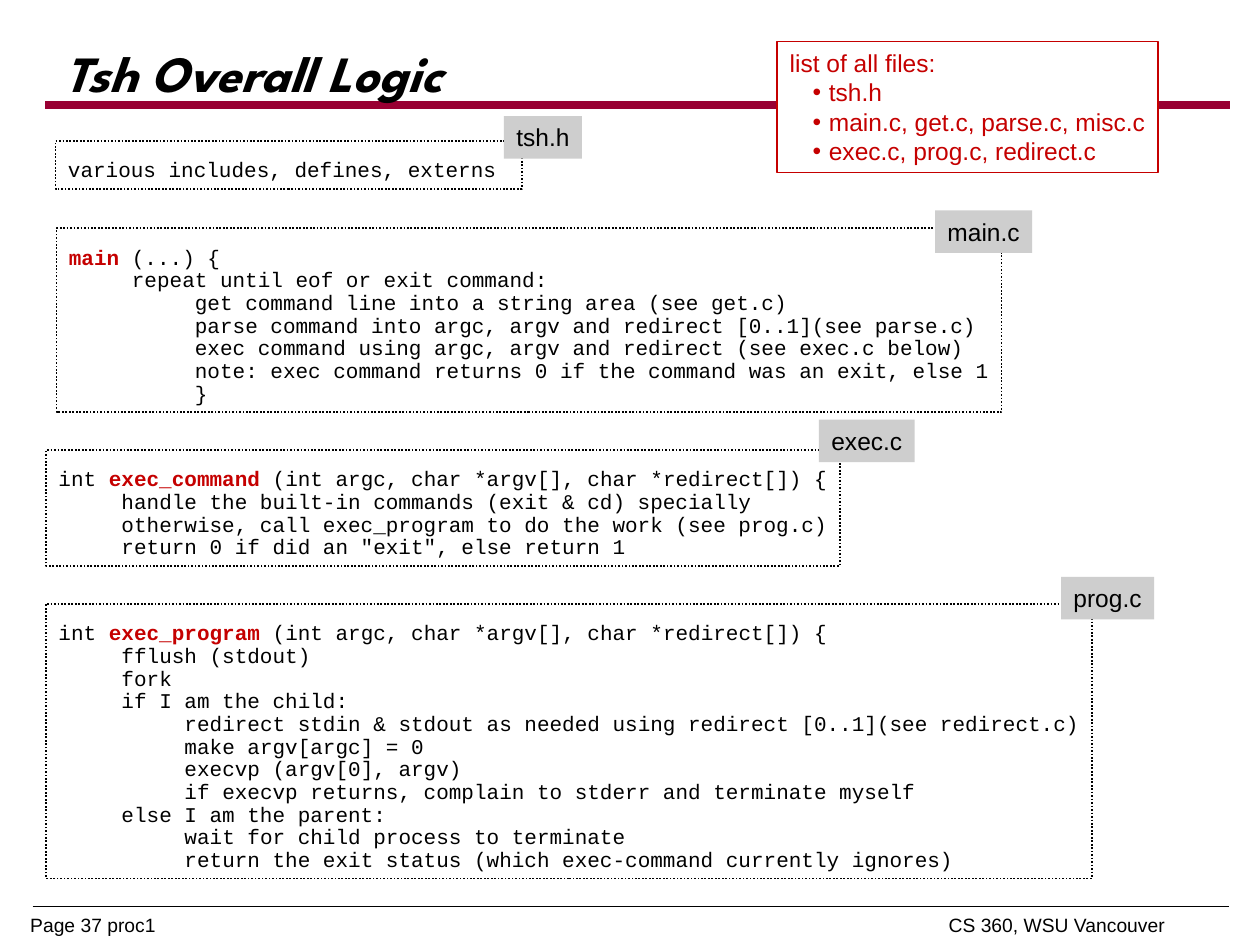
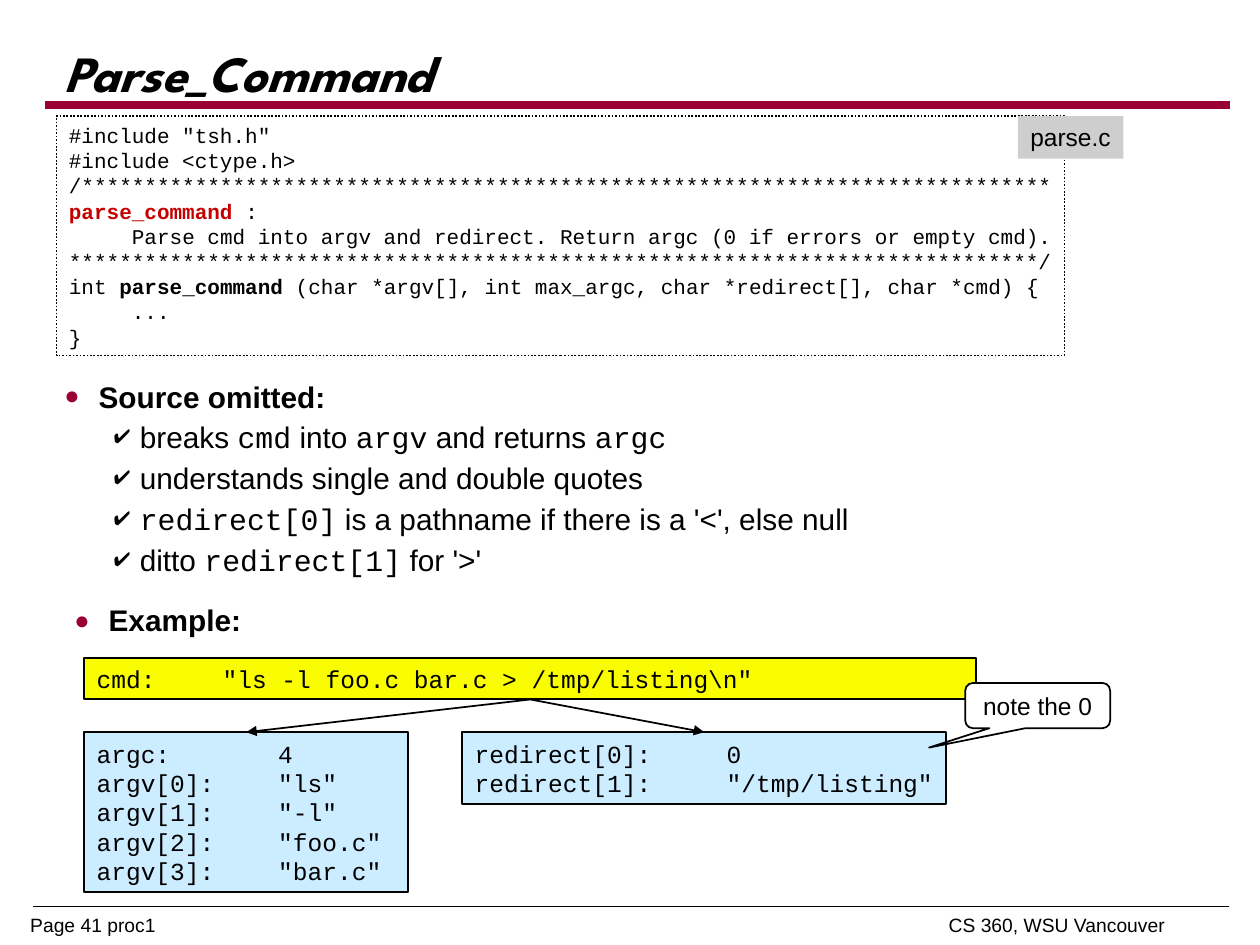
from lxml import etree
from pptx import Presentation
from pptx.dml.color import RGBColor
from pptx.enum.dml import MSO_LINE
from pptx.enum.shapes import MSO_CONNECTOR, MSO_SHAPE
from pptx.enum.text import MSO_ANCHOR, MSO_AUTO_SIZE, PP_ALIGN
from pptx.oxml.ns import qn
from pptx.util import Cm, Pt

RECTANGLE = MSO_SHAPE.RECTANGLE
CALLOUT = MSO_SHAPE.ROUNDED_RECTANGULAR_CALLOUT
STRAIGHT = MSO_CONNECTOR.STRAIGHT
DOTTED = MSO_LINE.ROUND_DOT
TOP, MIDDLE = MSO_ANCHOR.TOP, MSO_ANCHOR.MIDDLE
LEFT, CENTER = PP_ALIGN.LEFT, PP_ALIGN.CENTER

COLORS = {
    "text": "000000", "keyword": "C50000", "rule": "990033", "label": "CECECE",
    "white": "FFFFFF", "command": "FAFD00", "result": "CCECFF",
}
SANS, MONO, TITLE_FONT = "Arial", "Courier New", "League Spartan"
TITLE_ONLY = 5
STARS = "*" * 77

# Bullets: character, colour, size in percent, left margin, hanging indent
DOT = ("●", "rule", 85, 0.69, -0.69)
CHECK = ("✔", "text", 65, 1.52, -0.53)
FILE_DOT = ("•", "keyword", 100, 0.79, -0.33)


def rgb(name):
    return RGBColor.from_string(COLORS[name])


# ---- Text ----
def format_font(font, name, size, color="text", bold=False):
    font.name, font.size, font.bold = name, Pt(size), bold
    font.color.rgb = rgb(color)


def set_indent(paragraph, margin, hanging=0):
    properties = paragraph._p.get_or_add_pPr()
    properties.set("marL", str(Cm(margin)))
    properties.set("indent", str(Cm(hanging)))


def add_bullet(paragraph, bullet):
    character, color, percent, margin, hanging = bullet
    set_indent(paragraph, margin, hanging)
    properties = paragraph._p.get_or_add_pPr()
    bullet_color = etree.SubElement(properties, qn("a:buClr"))
    etree.SubElement(bullet_color, qn("a:srgbClr"), val=COLORS[color])
    etree.SubElement(properties, qn("a:buSzPct"), val=str(percent * 1000))
    etree.SubElement(properties, qn("a:buFont"), typeface=SANS)
    etree.SubElement(properties, qn("a:buChar"), char=character)


def add_tab(paragraph, position, align="l"):
    tabs = etree.SubElement(paragraph._p.get_or_add_pPr(), qn("a:tabLst"))
    etree.SubElement(tabs, qn("a:tab"), pos=str(Cm(position)), algn=align)


def write_segments(paragraph, segments, font, size, color="text"):
    """A segment is a string, or a pair of a string and a style."""
    for segment in segments:
        text, style = (segment, "") if isinstance(segment, str) else segment
        run = paragraph.add_run()
        run.text = text
        format_font(run.font, MONO if style == "code" else font, size,
                    "keyword" if style == "keyword" else color,
                    style in ("keyword", "bold"))


def write_lines(shape, lines, font, size, color="text", align=LEFT, spacing=1.0,
                before=0, tab=None):
    """A line holds an indent level or a bullet, then its segments."""
    frame = shape.text_frame
    for index, (indent, *segments) in enumerate(lines):
        paragraph = frame.add_paragraph() if index else frame.paragraphs[0]
        if isinstance(indent, tuple):
            add_bullet(paragraph, indent)
        elif indent:
            set_indent(paragraph, 1.27 * indent)
        if tab:
            add_tab(paragraph, tab)
        paragraph.alignment = align
        paragraph.line_spacing = spacing
        if before and index:
            paragraph.space_before = Pt(before)
        write_segments(paragraph, segments, font, size, color)


def set_frame(shape, left=0.25, top=0.13, right=0, bottom=0.13, anchor=TOP):
    frame = shape.text_frame
    frame.word_wrap, frame.auto_size = True, MSO_AUTO_SIZE.NONE
    frame.margin_left, frame.margin_right = Cm(left), Cm(right)
    frame.margin_top, frame.margin_bottom = Cm(top), Cm(bottom)
    frame.vertical_anchor = anchor


# ---- Shapes; a box is left, top, width, height ----
def add_box(slide, box, fill=None, line="text", kind=RECTANGLE):
    shape = slide.shapes.add_shape(kind, *map(Cm, box))
    shape.shadow.inherit = False
    if fill:
        shape.fill.solid()
        shape.fill.fore_color.rgb = rgb(fill)
    else:
        shape.fill.background()
    if line:
        shape.line.color.rgb = rgb(line)
        shape.line.width = Pt(1)
    else:
        shape.line.fill.background()
    set_frame(shape)
    return shape


def add_text(slide, box, **margins):
    shape = slide.shapes.add_textbox(*map(Cm, box))
    set_frame(shape, **margins)
    return shape


def add_line(slide, start=(0, 0), end=(0, 0), color="text", width=1.0):
    line = slide.shapes.add_connector(STRAIGHT, *map(Cm, start + end))
    line.line.color.rgb = rgb(color)
    line.line.width = Pt(width)
    etree.SubElement(line._element.spPr, qn("a:effectLst"))
    return line


def add_arrow(slide, source, target):
    """Joins the bottom of one box to the top of another."""
    arrow = add_line(slide)
    arrow.begin_connect(source, 2)
    arrow.end_connect(target, 0)
    etree.SubElement(arrow.line._get_or_add_ln(), qn("a:tailEnd"), type="triangle")


# ---- Shared slide frame ----
def add_slide(presentation, title_text, page):
    slide = presentation.slides.add_slide(presentation.slide_layouts[TITLE_ONLY])

    # Footer
    footer = add_text(slide, (0.61, 18.44, 23.85, 0.61), left=0, top=0, bottom=0)
    paragraph = footer.text_frame.paragraphs[0]
    add_tab(paragraph, 22.88, "r")
    paragraph.line_spacing = 0.96
    write_segments(paragraph, [f"Page {page} proc1\tCS 360, WSU Vancouver"], SANS, 11)
    add_line(slide, (0.66, 18.26), (24.77, 18.26), width=0.25)

    # Title, in front of its rule
    add_line(slide, (0.91, 2.11), (24.79, 2.11), "rule", 4.5)
    title = slide.shapes.title
    title.left, title.top, title.width, title.height = map(Cm, (1.07, 0.79, 24.31, 1.52))
    set_frame(title, left=0.23, anchor=MIDDLE)
    title.text_frame.text = title_text
    paragraph = title.text_frame.paragraphs[0]
    paragraph.alignment, paragraph.line_spacing = LEFT, 0.87
    font = paragraph.runs[0].font
    format_font(font, TITLE_FONT, 29, bold=True)
    font.italic = True
    slide.shapes._spTree.append(title._element)
    return slide


# ---- Regions ----
def add_source_file(slide, box, name, tag, lines, spacing=0.9, top=0.38):
    """Dotted code box; tag is the label's offset from the box, and its width."""
    code = add_box(slide, box)
    code.line.dash_style = DOTTED
    set_frame(code, top=top, anchor=MIDDLE)
    write_lines(code, lines, MONO, 12, spacing=spacing)
    right, down, width = tag
    label = add_box(slide, (box[0] + right, box[1] + down, width, 0.86), "label", None)
    write_lines(label, [(0, name)], SANS, 14)


def add_file_list(slide, box):
    files = ["tsh.h", "main.c, get.c, parse.c, misc.c", "exec.c, prog.c, redirect.c"]
    shape = add_box(slide, box, "white", "keyword")
    lines = [(0, "list of all files:")] + [(FILE_DOT, name) for name in files]
    write_lines(shape, lines, SANS, 14, "keyword")


def add_notes_on_source(slide, box):
    body = add_text(slide, box, left=0.23)
    write_lines(body, [
        (DOT, ("Source omitted:", "bold")),
        (CHECK, "breaks ", ("cmd", "code"), " into ", ("argv", "code"),
         " and returns ", ("argc", "code")),
        (CHECK, "understands single and double quotes"),
        (CHECK, ("redirect[0]", "code"), " is a pathname if there is a '<', else null"),
        (CHECK, "ditto ", ("redirect[1]", "code"), " for '>'"),
    ], SANS, 17, spacing=0.83, before=6.4)


def add_example(slide, left, top):
    """Command line with the variables that it is split into."""
    def values(box, fill, tab, pairs):
        shape = add_box(slide, (left + box[0], top + box[1], *box[2:]), fill)
        lines = [(0, f"{name}:\t{value}") for name, value in pairs]
        write_lines(shape, lines, MONO, 14, tab=tab)
        return shape

    argv = values((0.43, 2.69, 6.53, 3.23), "result", 3.66, [
        ("argc", "4"), ("argv[0]", '"ls"'), ("argv[1]", '"-l"'),
        ("argv[2]", '"foo.c"'), ("argv[3]", '"bar.c"')])
    command = values((0.43, 1.19, 17.98, 0.84), "command", 2.54, [
        ("cmd", r'"ls -l foo.c bar.c > /tmp/listing\n"')])
    command.text_frame.vertical_anchor = MIDDLE
    redirect = values((8.05, 2.69, 9.75, 1.45), "result", 5.08, [
        ("redirect[0]", "0"), ("redirect[1]", '"/tmp/listing"')])
    for target in (argv, redirect):
        add_arrow(slide, command, target)

    # Callout
    note = add_box(slide, (left + 18.19, top + 1.7, 2.92, 0.91), "white", kind=CALLOUT)
    note.adjustments[0], note.adjustments[1] = -0.75, 0.93
    set_frame(note, right=0.25, anchor=MIDDLE)
    write_lines(note, [(0, "note the 0")], SANS, 14, align=CENTER)

    # Heading
    heading = add_text(slide, (left, top, 3.84, 0.91), left=0.23)
    write_lines(heading, [(DOT, ("Example:", "bold"))], SANS, 17, spacing=0.93)


# ---- Slides ----
def build_overall_logic(presentation):
    slide = add_slide(presentation, "Tsh Overall Logic", 37)
    arguments = " (int argc, char *argv[], char *redirect[]) {"
    add_source_file(slide, (1.12, 2.84, 9.4, 0.97), "tsh.h", (9.04, -0.5, 1.57), [
        (0, "various includes, defines, externs")])
    add_source_file(slide, (1.14, 4.6, 19.05, 3.71), "main.c", (17.71, -0.36, 1.96), [
        (0, ("main", "keyword"), " (...) {"),
        (1, "repeat until eof or exit command:"),
        (2, "get command line into a string area (see get.c)"),
        (2, "parse command into argc, argv and redirect [0..1](see parse.c)"),
        (2, "exec command using argc, argv and redirect (see exec.c below)"),
        (2, "note: exec command returns 0 if the command was an exit, else 1"),
        (2, "}")])
    add_source_file(slide, (0.93, 9.07, 16, 2.34), "exec.c", (15.58, -0.61, 1.93), [
        (0, "int ", ("exec_command", "keyword"), arguments),
        (1, "handle the built-in commands (exit & cd) specially"),
        (1, "otherwise, call exec_program to do the work (see prog.c)"),
        (1, 'return 0 if did an "exit", else return 1')])
    add_source_file(slide, (0.93, 12.17, 21.08, 5.54), "prog.c", (20.46, -0.54, 1.88), [
        (0, "int ", ("exec_program", "keyword"), arguments),
        (1, "fflush (stdout)"),
        (1, "fork"),
        (1, "if I am the child:"),
        (2, "redirect stdin & stdout as needed using redirect [0..1](see redirect.c)"),
        (2, "make argv[argc] = 0"),
        (2, "execvp (argv[0], argv)"),
        (2, "if execvp returns, complain to stderr and terminate myself"),
        (1, "else I am the parent:"),
        (2, "wait for child process to terminate"),
        (2, "return the exit status (which exec-command currently ignores)")])
    add_file_list(slide, (15.67, 0.84, 7.67, 2.64))


def build_parse_command(presentation):
    slide = add_slide(presentation, "Parse_Command", 41)
    add_notes_on_source(slide, (1.07, 7.62, 17.5, 4.11))
    add_source_file(slide, (1.14, 2.34, 20.32, 4.83), "parse.c", (19.38, 0, 2.13), [
        (0, '#include "tsh.h"'),
        (0, "#include <ctype.h>"),
        (0, "/" + STARS),
        (0, ("parse_command", "keyword"), " :"),
        (1, "Parse cmd into argv and redirect. Return argc (0 if errors or empty cmd)."),
        (0, STARS + "/"),
        (0, "int ", ("parse_command", "bold"),
         " (char *argv[], int max_argc, char *redirect[], char *cmd) {"),
        (1, "..."),
        (0, "}")], spacing=1.0, top=0.13)
    add_example(slide, 1.27, 12.07)


def main():
    presentation = Presentation()
    presentation.slide_width, presentation.slide_height = Cm(25.4), Cm(19.05)
    build_overall_logic(presentation)
    build_parse_command(presentation)
    presentation.save("out.pptx")


if __name__ == "__main__":
    main()
